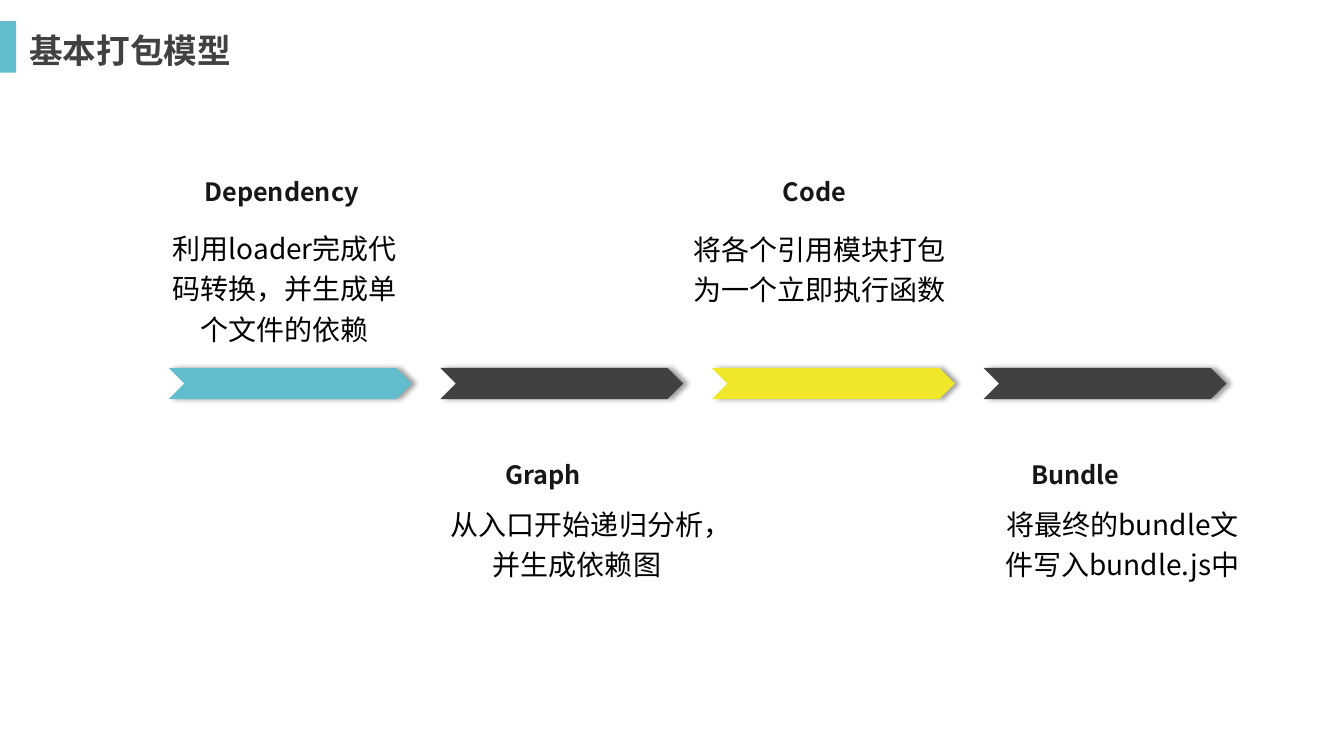
"""Build the slide on the basic bundling model: four arrows with alternating captions."""
from lxml import etree
from pptx import Presentation
from pptx.dml.color import RGBColor
from pptx.enum.shapes import MSO_SHAPE as Shape
from pptx.enum.text import MSO_ANCHOR as Anchor, PP_ALIGN as Align
from pptx.oxml import parse_xml
from pptx.oxml.ns import nsdecls, qn
from pptx.util import Pt

FONT = "Noto Sans CJK SC"
TEAL = RGBColor(0x61, 0xBD, 0xCD)
GRAY = RGBColor(0x41, 0x41, 0x41)
YELLOW = RGBColor(0xF1, 0xE7, 0x2A)
BLACK = RGBColor(0, 0, 0)
INK = RGBColor(0x18, 0x17, 0x17)

ARROW_LEFT, ARROW_PITCH = 120.5, 194
SHADOW = (
    f'<a:effectLst {nsdecls("a")}><a:outerShdw blurRad="{Pt(4)}" dist="{Pt(3)}" dir="0">'
    '<a:srgbClr val="000000"><a:alpha val="40000"/></a:srgbClr></a:outerShdw></a:effectLst>'
)


def write_text(shape, text, size, color, bold=False, align=Align.LEFT, spacing=1.0):
    text_frame = shape.text_frame
    text_frame.word_wrap = True
    text_frame.text = text
    paragraph = text_frame.paragraphs[0]
    paragraph.alignment = align
    paragraph.line_spacing = spacing
    font = paragraph.runs[0].font
    font.name, font.size, font.bold = FONT, Pt(size), bold
    font.color.rgb = color
    east_asian = etree.Element(qn("a:ea"), typeface=FONT)
    font._element.find(qn("a:latin")).addnext(east_asian)


def add_filled_shape(kind, left, top, width, height, color):
    shape = slide.shapes.add_shape(kind, Pt(left), Pt(top), Pt(width), Pt(height))
    shape.shadow.inherit = False
    shape.fill.solid()
    shape.fill.fore_color.rgb = color
    shape.line.fill.background()
    return shape


presentation = Presentation()
presentation.slide_width, presentation.slide_height = Pt(960), Pt(540)
slide = presentation.slides.add_slide(presentation.slide_layouts[5])

title = slide.shapes.title
title.left, title.top, title.width, title.height = Pt(13.7), Pt(17.3), Pt(208), Pt(36.7)
title.text_frame.vertical_anchor = Anchor.MIDDLE
write_text(title, "基本打包模型", 24, GRAY, bold=True)
add_filled_shape(Shape.RECTANGLE, 0, 15.1, 11.5, 36.7, TEAL)

steps = [
    (TEAL, "Dependency", 139, 122.4, Align.LEFT,
     "利用loader完成代码转换，并生成单个文件的依赖", 110.2, 157, 186.5, Align.CENTER),
    (GRAY, "Graph", 301.7, 324.7, Align.CENTER,
     "从入口开始递归分析，并生成依赖图", 312.5, 354.2, 199.4, Align.CENTER),
    (YELLOW, "Code", 495.4, 122.4, Align.CENTER,
     "将各个引用模块打包为一个立即执行函数", 488.2, 157.7, 199.4, Align.LEFT),
    (GRAY, "Bundle", 729.4, 324.7, Align.LEFT,
     "将最终的bundle文件写入bundle.js中", 702, 354.2, 199.4, Align.CENTER),
]
for index, step in enumerate(steps):
    color, name, name_left, name_top, name_align = step[:5]
    detail, detail_left, detail_top, detail_width, detail_align = step[5:]

    arrow_left = ARROW_LEFT + index * ARROW_PITCH
    arrow = add_filled_shape(Shape.CHEVRON, arrow_left, 262.8, 173.5, 22.3, color)
    properties = arrow._element.spPr
    properties.replace(properties.find(qn("a:effectLst")), parse_xml(SHADOW))

    detail_box = slide.shapes.add_textbox(Pt(detail_left), Pt(detail_top), Pt(detail_width), Pt(90))
    write_text(detail_box, detail, 20, BLACK, align=detail_align, spacing=1.2)
    name_box = slide.shapes.add_textbox(Pt(name_left), Pt(name_top), Pt(172.8), Pt(27.4))
    write_text(name_box, name, 18, INK, bold=True, align=name_align)

presentation.save("out.pptx")
